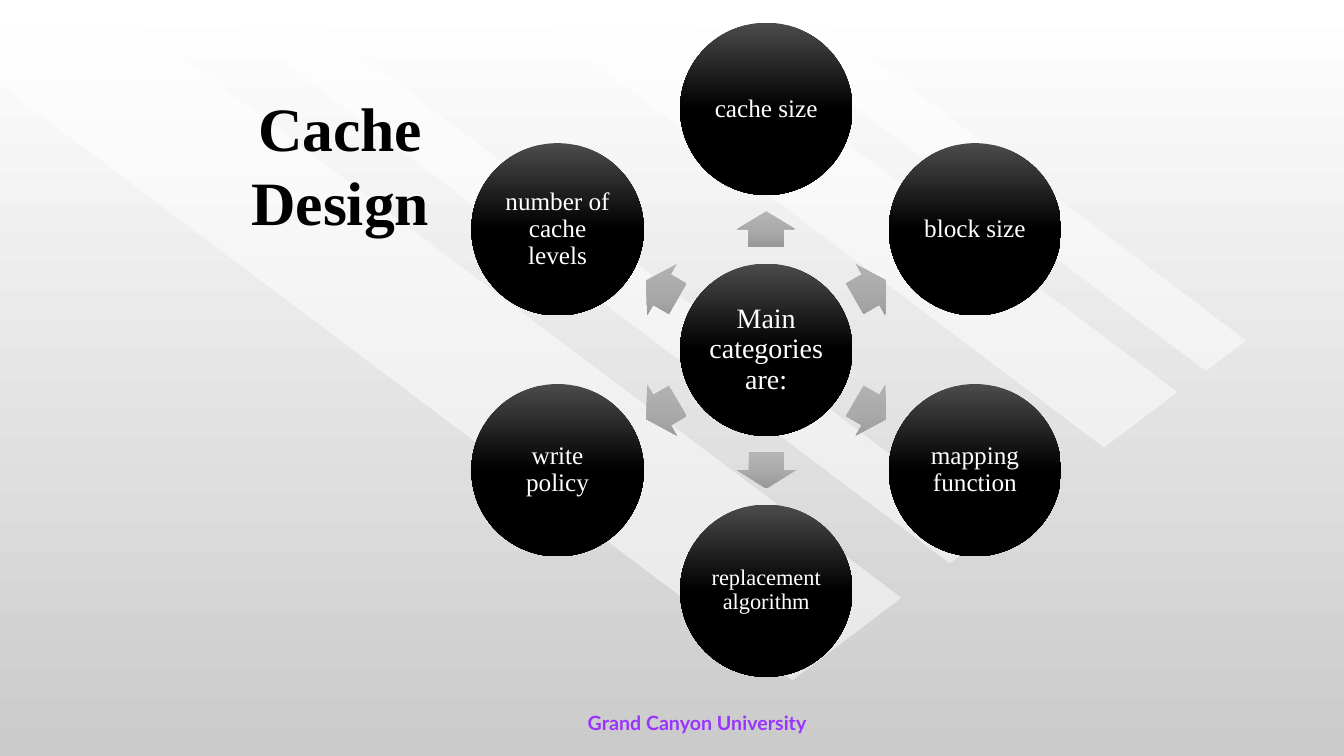
import copy
import math

from lxml import etree
from pptx import Presentation
from pptx.dml.color import RGBColor
from pptx.enum import shapes, text
from pptx.oxml.ns import qn
from pptx.util import Inches, Pt

WHITE = RGBColor(0xFF, 0xFF, 0xFF)
BLACK = RGBColor(0, 0, 0)
PALE_GRAY = RGBColor(0xCB, 0xCB, 0xCB)
CHARCOAL = RGBColor(0x4B, 0x4B, 0x4B)
ARROW_LIGHT = RGBColor(0xB5, 0xB5, 0xB5)
ARROW_MID = RGBColor(0xAB, 0xAB, 0xAB)
ARROW_DARK = RGBColor(0x98, 0x98, 0x98)
PURPLE = RGBColor(0x99, 0x33, 0xFF)
OUTLINE_GRAY = "6E6E6E"
SERIF = "Times New Roman"

CENTER_X, CENTER_Y = 7.6, 3.47
RING_RADIUS = 2.39
CIRCLE = 1.71
ARROW_LENGTH, ARROW_WIDTH = 0.36, 0.58


def paint_gradient(fill, element, colors):
    """Fill from top to bottom with evenly spaced colors."""
    fill.gradient()
    fill.gradient_angle = 270
    stop_list = element.find(".//" + qn("a:gsLst"))
    while len(stop_list) < len(colors):
        stop_list.append(copy.deepcopy(stop_list[0]))
    for index, (stop, color) in enumerate(zip(fill.gradient_stops, colors)):
        stop.position = index / (len(colors) - 1)
        stop.color.rgb = color
    element.find(".//" + qn("a:gradFill")).set("rotWithShape", "0")


def write(shape, words, size, font_name, color, bold=False, margin=0.03):
    frame = shape.text_frame
    frame.word_wrap = True
    frame.vertical_anchor = text.MSO_ANCHOR.MIDDLE
    frame.margin_left = frame.margin_right = Inches(margin)
    frame.margin_top = frame.margin_bottom = Inches(min(margin, 0.05))
    para = frame.paragraphs[0]
    para.text = words
    para.alignment = text.PP_ALIGN.CENTER
    para.font.size = Pt(size)
    para.font.name = font_name
    para.font.bold = bold
    para.font.color.rgb = color
    return para


deck = Presentation()
deck.slide_width = Inches(13.33)
deck.slide_height = Inches(7.5)
page = deck.slides.add_slide(deck.slide_layouts[6])
paint_gradient(page.background.fill, page.element, [WHITE, PALE_GRAY])

# Translucent diagonal bands
bands = [
    [(8.94, 5.93), (1.06, 0), (0, 0), (0, 0.84), (7.86, 6.75)],
    [(2.85, 0), (9.84, 5.27), (9.42, 5.59), (1.99, 0)],
    [(6.52, 0), (11.68, 3.89), (10.95, 4.44), (5.06, 0)],
    [(7.07, 0), (11.96, 3.68), (12.36, 3.38), (7.88, 0)],
]
for corners in bands:
    points = [(Inches(x), Inches(y)) for x, y in corners]
    builder = page.shapes.build_freeform(*points[0])
    builder.add_line_segments(points[1:], close=True)
    band = builder.convert_to_shape()
    band.shadow.inherit = False
    band.line.fill.background()
    band.fill.solid()
    band.fill.fore_color.rgb = WHITE
    band_color = band.element.spPr.find(qn("a:solidFill"))[0]
    etree.SubElement(band_color, qn("a:alpha"), val="50000")

# Title with a thin gray outline
title = page.shapes.add_textbox(Inches(2.25), Inches(0.33), Inches(2.25), Inches(2.08))
title_para = write(title, "Cache Design", 44, SERIF, BLACK, bold=True, margin=0.1)
title.text_frame.vertical_anchor = text.MSO_ANCHOR.BOTTOM
outline = etree.Element(qn("a:ln"), w=str(Pt(1.25)))
outline_fill = etree.SubElement(outline, qn("a:solidFill"))
outline_color = etree.SubElement(outline_fill, qn("a:srgbClr"), val=OUTLINE_GRAY)
etree.SubElement(outline_color, qn("a:alpha"), val="75000")
title_span = title_para.runs[0]
title_span.font.size = Pt(44)
title_span.font.element.insert(0, outline) if hasattr(title_span.font, "element") else \
    title_para.runs[0]._r.get_or_add_rPr().insert(0, outline)

# Hub in the middle, then categories clockwise from the top
circles = [("Main categories are:", 20, 0, 0)]
categories = ["cache size", "block size", "mapping function",
              "replacement algorithm", "write policy", "number of cache levels"]
for index, category in enumerate(categories):
    angle = 60 * index - 90
    dx = RING_RADIUS * math.cos(math.radians(angle))
    dy = RING_RADIUS * math.sin(math.radians(angle))
    size = 16 if category == "replacement algorithm" else 18
    circles.append((category, size, dx, dy))

    arrow = page.shapes.add_shape(
        shapes.MSO_SHAPE.RIGHT_ARROW,
        Inches(CENTER_X + dx / 2 - ARROW_LENGTH / 2),
        Inches(CENTER_Y + dy / 2 - ARROW_WIDTH / 2),
        Inches(ARROW_LENGTH), Inches(ARROW_WIDTH))
    arrow.rotation = angle % 360
    arrow.adjustments[0] = 0.6
    arrow.adjustments[1] = 0.5
    arrow.shadow.inherit = False
    arrow.line.fill.background()
    paint_gradient(arrow.fill, arrow.element, [ARROW_LIGHT, ARROW_MID, ARROW_DARK])

for words, size, dx, dy in circles:
    circle = page.shapes.add_shape(
        shapes.MSO_SHAPE.OVAL,
        Inches(CENTER_X + dx - CIRCLE / 2), Inches(CENTER_Y + dy - CIRCLE / 2),
        Inches(CIRCLE), Inches(CIRCLE))
    circle.shadow.inherit = False
    circle.line.fill.background()
    paint_gradient(circle.fill, circle.element, [CHARCOAL, BLACK, BLACK])
    write(circle, words, size, SERIF, WHITE).line_spacing = 0.9

footer = page.shapes.add_textbox(Inches(5.33), Inches(6.92), Inches(3.17), Inches(0.5))
write(footer, "Grand Canyon University", 14, "Lato", PURPLE, bold=True, margin=0.1)

deck.save("out.pptx")
